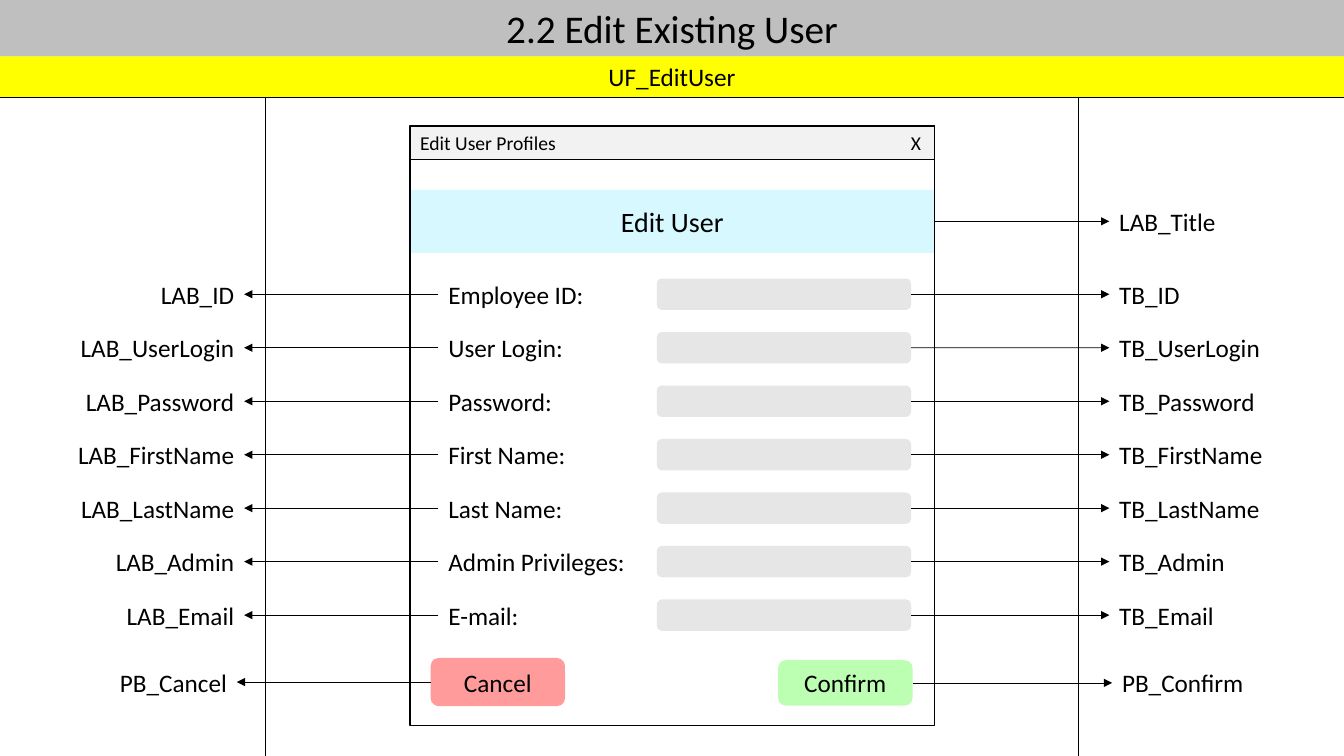
from dataclasses import dataclass
from typing import Any, Optional

from pptx import Presentation
from pptx.dml.color import RGBColor
from pptx.enum.shapes import MSO_CONNECTOR, MSO_SHAPE
from pptx.enum.text import MSO_ANCHOR, MSO_AUTO_SIZE, PP_ALIGN
from pptx.oxml.ns import qn
from pptx.util import Pt
from lxml.etree import SubElement

COLOURS = {
    "black": "000000", "header": "BFBFBF", "form": "FFFF00", "bar": "F2F2F2",
    "band": "D7F8FF", "field": "E7E6E6", "cancel": "FF9B9B", "confirm": "BCFFB3",
}
FRAME_FORMAT = {
    "auto_size": MSO_AUTO_SIZE.NONE, "word_wrap": True,
    "vertical_anchor": MSO_ANCHOR.MIDDLE,
    "margin_left": Pt(7.2), "margin_right": Pt(7.2),
    "margin_top": Pt(3.6), "margin_bottom": Pt(3.6),
}
LEFT_SIDE, RIGHT_SIDE = 1, 3

SLIDE_WIDTH, SLIDE_HEIGHT = 960, 540
WINDOW_LEFT, WINDOW_TOP, WINDOW_WIDTH, WINDOW_HEIGHT = 293, 90, 374.4, 428.4
FIRST_ROW, ROW_PITCH = 210.2, 38.2
TEXT_HEIGHT, LABEL_WIDTH = 28.8, 130
LEFT_LABEL_EDGE, RIGHT_LABEL_EDGE = 174.4, 792.4


@dataclass
class Box:
    left: float
    top: float
    width: float
    height: float
    text: str = ""
    size: float = 18
    align: Any = PP_ALIGN.CENTER
    fill: Optional[str] = None
    outline: Optional[float] = None
    preset: Any = MSO_SHAPE.RECTANGLE

    @property
    def middle(self) -> float:
        return self.top + self.height / 2


@dataclass
class Field:
    caption: str
    name: str


FIELDS = [
    Field("Employee ID:", "ID"),
    Field("User Login:", "UserLogin"),
    Field("Password:", "Password"),
    Field("First Name:", "FirstName"),
    Field("Last Name:", "LastName"),
    Field("Admin Privileges:", "Admin"),
    Field("E-mail:", "Email"),
]


def colour(name: str) -> RGBColor:
    return RGBColor.from_string(COLOURS[name])


def write_text(shape: Any, box: Box) -> None:
    frame = shape.text_frame
    for name, value in FRAME_FORMAT.items():
        setattr(frame, name, value)
    paragraph = frame.paragraphs[0]
    paragraph.alignment = box.align
    run = paragraph.add_run()
    run.text = box.text
    for name, value in {"name": "Calibri", "size": Pt(box.size), "bold": False}.items():
        setattr(run.font, name, value)
    run.font.color.rgb = colour("black")


def draw_box(slide: Any, box: Box) -> Any:
    place = [Pt(value) for value in (box.left, box.top, box.width, box.height)]
    if box.fill is None and box.outline is None:
        shape = slide.shapes.add_textbox(*place)
    else:
        shape = slide.shapes.add_shape(box.preset, *place)
        shape.shadow.inherit = False
        if box.fill:
            shape.fill.solid()
            shape.fill.fore_color.rgb = colour(box.fill)
        else:
            shape.fill.background()
        if box.outline:
            shape.line.color.rgb = colour("black")
            shape.line.width = Pt(box.outline)
        else:
            shape.line.fill.background()
    if box.text:
        write_text(shape, box)
    return shape


def draw_line(slide: Any, x1: float, y1: float, x2: float, y2: float) -> Any:
    connector = slide.shapes.add_connector(
        MSO_CONNECTOR.STRAIGHT, Pt(x1), Pt(y1), Pt(x2), Pt(y2))
    connector.line.color.rgb = colour("black")
    connector.line.width = Pt(0.5)
    SubElement(connector.element.spPr, qn("a:effectLst"))
    return connector


def draw_callout(slide: Any, source: Any, box: Box, text: str, edge: float,
                 to_left: bool = False) -> None:
    """Name a part of the form in the side column and point an arrow at the name."""
    label = draw_box(slide, Box(
        edge - LABEL_WIDTH if to_left else edge, box.middle - TEXT_HEIGHT / 2,
        LABEL_WIDTH, TEXT_HEIGHT, text,
        align=PP_ALIGN.RIGHT if to_left else PP_ALIGN.LEFT))
    start = box.left if to_left else box.left + box.width
    arrow = draw_line(slide, start, box.middle, edge, box.middle)
    arrow.begin_connect(source, LEFT_SIDE if to_left else RIGHT_SIDE)
    arrow.end_connect(label, RIGHT_SIDE if to_left else LEFT_SIDE)
    SubElement(arrow.element.spPr.find(qn("a:ln")), qn("a:tailEnd"), type="triangle")


def draw_header(slide: Any) -> None:
    # Slide title
    title = slide.shapes.title
    title.left, title.top, title.width, title.height = Pt(0), Pt(-0.5), Pt(SLIDE_WIDTH), Pt(41)
    title.fill.solid()
    title.fill.fore_color.rgb = colour("header")
    write_text(title, Box(0, 0, 0, 0, "2.2 Edit Existing User", size=28))

    # Form name and column rules
    draw_box(slide, Box(0, 40.3, SLIDE_WIDTH, 29, "UF_EditUser", fill="form"))
    draw_line(slide, 0, 69.3, SLIDE_WIDTH, 69.3)
    for x in (189.8, 770.4):
        draw_line(slide, x, 69.3, x, SLIDE_HEIGHT)


def draw_window(slide: Any) -> None:
    # Title bar
    draw_box(slide, Box(WINDOW_LEFT, WINDOW_TOP, WINDOW_WIDTH, 24.2, "Edit User Profiles",
                        size=14, align=PP_ALIGN.LEFT, fill="bar", outline=0.75))
    draw_box(slide, Box(643.6, WINDOW_TOP, 31, 24.2, "X", size=14, align=PP_ALIGN.LEFT))

    # Heading band
    band = Box(WINDOW_LEFT, 135.6, WINDOW_WIDTH, 45, "Edit User", size=20, fill="band")
    draw_callout(slide, draw_box(slide, band), band, "LAB_Title", RIGHT_LABEL_EDGE)

    # Captions and input fields
    for index, field in enumerate(FIELDS):
        middle = FIRST_ROW + index * ROW_PITCH
        caption = Box(313.2, middle - TEXT_HEIGHT / 2, 150, TEXT_HEIGHT, field.caption,
                      align=PP_ALIGN.LEFT)
        entry = Box(469.2, middle - 11.2, 181.6, 22.4, fill="field",
                    preset=MSO_SHAPE.ROUNDED_RECTANGLE)
        draw_callout(slide, draw_box(slide, caption), caption, f"LAB_{field.name}",
                     LEFT_LABEL_EDGE, to_left=True)
        draw_callout(slide, draw_box(slide, entry), entry, f"TB_{field.name}",
                     RIGHT_LABEL_EDGE)

    # Buttons
    cancel = Box(307.6, 470, 96, 34.4, "Cancel", fill="cancel",
                 preset=MSO_SHAPE.ROUNDED_RECTANGLE)
    confirm = Box(555.8, 471.6, 96, 32.4, "Confirm", fill="confirm",
                  preset=MSO_SHAPE.ROUNDED_RECTANGLE)
    draw_callout(slide, draw_box(slide, cancel), cancel, "PB_Cancel", 169.2, to_left=True)
    draw_callout(slide, draw_box(slide, confirm), confirm, "PB_Confirm", 794.4)

    # Window frame
    draw_box(slide, Box(WINDOW_LEFT, WINDOW_TOP, WINDOW_WIDTH, WINDOW_HEIGHT, outline=1))


def main() -> None:
    presentation = Presentation()
    presentation.slide_width, presentation.slide_height = Pt(SLIDE_WIDTH), Pt(SLIDE_HEIGHT)
    slide = presentation.slides.add_slide(presentation.slide_layouts[5])
    draw_header(slide)
    draw_window(slide)
    presentation.save("out.pptx")


if __name__ == "__main__":
    main()
